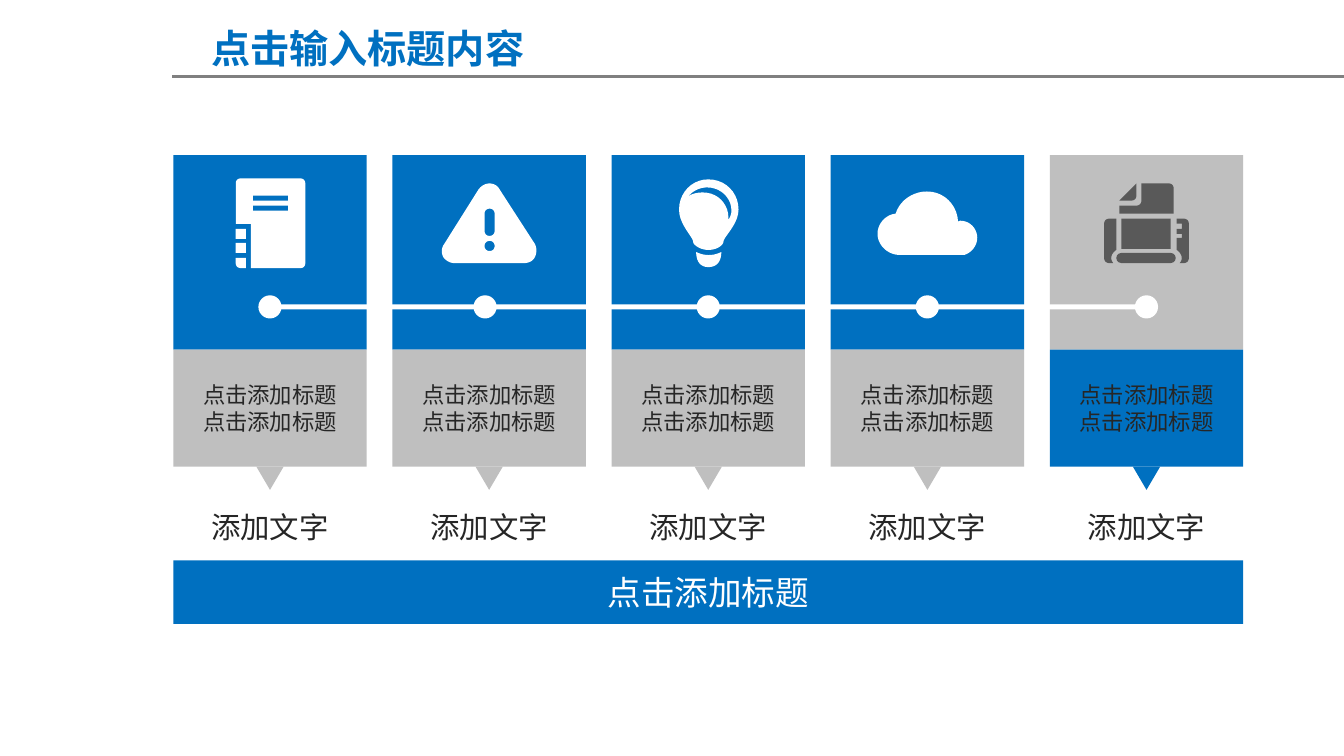
import pptx
import pptx.dml.color
import pptx.enum.shapes
import pptx.enum.text
import pptx.oxml.ns
import pptx.util
from lxml import etree

Inches = pptx.util.Inches
RGBColor = pptx.dml.color.RGBColor
MSO = pptx.enum.shapes.MSO_SHAPE
ANCHOR = pptx.enum.text.MSO_ANCHOR
qn = pptx.oxml.ns.qn

BLUE = RGBColor(0x00, 0x70, 0xC0)
SILVER = RGBColor(0xBF, 0xBF, 0xBF)
GRAY = RGBColor(0x80, 0x80, 0x80)
DARK = RGBColor(0x59, 0x59, 0x59)
INK = RGBColor(0x26, 0x26, 0x26)
WHITE = RGBColor(0xFF, 0xFF, 0xFF)
FONT = "Noto Sans CJK SC"

prs = pptx.Presentation()
prs.slide_width, prs.slide_height = Inches(13.34), Inches(7.5)
s = prs.slides.add_slide(prs.slide_layouts[6])


def add_block(kind, x, y, w, h, color):
    sp = s.shapes.add_shape(kind, Inches(x), Inches(y), Inches(w), Inches(h))
    sp.shadow.inherit = False
    sp.fill.solid()
    sp.fill.fore_color.rgb = color
    sp.line.fill.background()
    return sp


def write(sp, text, *, size, color, bold=False, wrap=True, anchor=ANCHOR.MIDDLE):
    """Fill a shape with centred text, one paragraph per line."""
    tf = sp.text_frame
    tf.word_wrap = wrap
    tf.vertical_anchor = anchor
    for i, line in enumerate(text.split("\n")):
        p = tf.add_paragraph() if i else tf.paragraphs[0]
        p.alignment = pptx.enum.text.PP_ALIGN.CENTER
        r = p.add_run()
        r.text = line
        r.font.size = pptx.util.Pt(size)
        r.font.bold = bold
        r.font.name = FONT
        r.font.color.rgb = color
        etree.SubElement(r.font._element, qn("a:ea"), typeface=FONT)


# Header
rule = s.shapes.add_connector(pptx.enum.shapes.MSO_CONNECTOR.STRAIGHT,
                              Inches(1.71), Inches(0.76), Inches(13.34), Inches(0.76))
rule.line.color.rgb = GRAY
rule.line.width = pptx.util.Pt(2)
etree.SubElement(rule._element.spPr, qn("a:effectLst"))
title = s.shapes.add_textbox(Inches(1.85), Inches(0.19), Inches(3.6), Inches(0.57))
write(title, "点击输入标题内容", size=28, color=BLUE, bold=True, anchor=ANCHOR.TOP)

# Five columns
LEFT, PITCH, WIDTH, COUNT = 1.72, 2.175, 1.92, 5
for i in range(COUNT):
    x = LEFT + i * PITCH
    center = x + WIDTH / 2
    last = i == COUNT - 1
    top, bottom = (SILVER, BLUE) if last else (BLUE, SILVER)
    add_block(MSO.RECTANGLE, x, 1.54, WIDTH, 1.93, top)
    card = add_block(MSO.RECTANGLE, x, 3.47, WIDTH, 1.16, bottom)
    write(card, "点击添加标题\n点击添加标题", size=16, color=INK)
    pointer = add_block(MSO.ISOSCELES_TRIANGLE, center - 0.135, 4.63, 0.27, 0.23, bottom)
    pointer.rotation = 180
    label = s.shapes.add_textbox(Inches(center - 0.7), Inches(5), Inches(1.4), Inches(0.46))
    write(label, "添加文字", size=21, color=INK, wrap=False, anchor=ANCHOR.TOP)
    dot_shift = -0.04 if i == 1 else 0
    add_block(MSO.OVAL, center - 0.115 + dot_shift, 2.93, 0.23, 0.23, WHITE)
add_block(MSO.RECTANGLE, 2.61, 3.02, 8.7, 0.05, WHITE)

# Icon outlines: pairs are corners, sixes are Bézier curves; extra contours cut holes
notebook = [
    [(2.39, 1.77), (2.98, 1.77), (3.01, 1.77, 3.03, 1.79, 3.03, 1.82), (3.03, 2.61),
     (3.03, 2.64, 3.01, 2.66, 2.98, 2.66), (2.49, 2.66), (2.49, 2.22), (2.34, 2.22),
     (2.34, 1.82), (2.34, 1.79, 2.36, 1.77, 2.39, 1.77)],
    [(2.51, 2.09), (2.86, 2.09), (2.86, 2.04), (2.51, 2.04)],
    [(2.51, 1.99), (2.86, 1.99), (2.86, 1.94), (2.51, 1.94)]]
notebook_corner = [[(2.44, 2.66), (2.39, 2.66), (2.36, 2.66, 2.34, 2.64, 2.34, 2.61),
                    (2.34, 2.56), (2.44, 2.56)]]
warning = [
    [(4.75, 1.88), (4.78, 1.84, 4.82, 1.82, 4.86, 1.82), (4.9, 1.82, 4.94, 1.84, 4.96, 1.88),
     (5.31, 2.42), (5.33, 2.46, 5.33, 2.51, 5.31, 2.55), (5.29, 2.59, 5.25, 2.61, 5.2, 2.61),
     (4.51, 2.61), (4.47, 2.61, 4.43, 2.59, 4.4, 2.55), (4.38, 2.51, 4.38, 2.46, 4.41, 2.42)],
    [(4.86, 2.49), (4.89, 2.49, 4.91, 2.47, 4.91, 2.44), (4.91, 2.41, 4.89, 2.39, 4.86, 2.39),
     (4.83, 2.39, 4.81, 2.41, 4.81, 2.44), (4.81, 2.47, 4.83, 2.49, 4.86, 2.49)],
    [(4.81, 2.29), (4.81, 2.32, 4.83, 2.34, 4.86, 2.34), (4.89, 2.34, 4.91, 2.32, 4.91, 2.29),
     (4.91, 2.12), (4.91, 2.09, 4.89, 2.07, 4.86, 2.07), (4.83, 2.07, 4.81, 2.09, 4.81, 2.12)]]
bulb_base = [[(6.91, 2.5), (6.99, 2.54, 7.08, 2.54, 7.16, 2.5),
              (7.16, 2.59, 7.12, 2.65, 7.03, 2.65), (6.95, 2.65, 6.91, 2.59, 6.91, 2.5)]]
bulb = [
    [(7.03, 1.78), (7.2, 1.78, 7.33, 1.91, 7.33, 2.08), (7.33, 2.23, 7.18, 2.35, 7.18, 2.4),
     (7.18, 2.43, 7.12, 2.48, 7.03, 2.48), (6.95, 2.48, 6.88, 2.43, 6.88, 2.4),
     (6.88, 2.35, 6.74, 2.23, 6.74, 2.08), (6.74, 1.91, 6.87, 1.78, 7.03, 1.78)],
    [(6.98, 1.91), (7.12, 1.91, 7.23, 2.02, 7.23, 2.16), (7.23, 2.18),
     (7.25, 2.15, 7.26, 2.12, 7.26, 2.09), (7.26, 1.96, 7.15, 1.86, 7.02, 1.86),
     (6.95, 1.86, 6.88, 1.89, 6.83, 1.95), (6.87, 1.92, 6.92, 1.91, 6.98, 1.91)]]
cloud = [[(8.89, 2.12), (8.93, 1.99, 9.06, 1.9, 9.2, 1.9), (9.37, 1.9, 9.5, 2.03, 9.51, 2.2),
          (9.53, 2.19), (9.63, 2.19, 9.7, 2.27, 9.7, 2.36), (9.7, 2.44, 9.64, 2.51, 9.57, 2.53),
          (8.93, 2.53), (8.81, 2.53, 8.71, 2.43, 8.71, 2.32),
          (8.71, 2.22, 8.79, 2.13, 8.89, 2.12)]]
printer_left = [[(11.01, 2.17), (11.08, 2.17), (11.08, 2.48),
                 (11.05, 2.5, 11.03, 2.53, 11.03, 2.56), (11.03, 2.58, 11.04, 2.6, 11.05, 2.61),
                 (11.01, 2.61), (10.98, 2.61, 10.96, 2.59, 10.96, 2.56), (10.96, 2.22),
                 (10.96, 2.19, 10.98, 2.17, 11.01, 2.17)]]
printer_right = [[(11.68, 2.48), (11.68, 2.36), (11.73, 2.36), (11.73, 2.32), (11.68, 2.32),
                  (11.68, 2.27), (11.73, 2.27), (11.73, 2.22), (11.68, 2.22), (11.68, 2.17),
                  (11.75, 2.17), (11.78, 2.17, 11.8, 2.19, 11.8, 2.22), (11.8, 2.56),
                  (11.8, 2.59, 11.78, 2.61, 11.75, 2.61), (11.71, 2.61),
                  (11.72, 2.6, 11.73, 2.58, 11.73, 2.56), (11.73, 2.53, 11.71, 2.5, 11.68, 2.48)]]
page_fold = [[(11.23, 1.99), (11.11, 1.99), (11.28, 1.82), (11.28, 1.94),
              (11.28, 1.97, 11.26, 1.99, 11.23, 1.99)]]
page = [[(11.11, 2.04), (11.28, 2.04), (11.31, 2.04, 11.33, 2.02, 11.33, 1.99), (11.33, 1.82),
         (11.6, 1.82), (11.63, 1.82, 11.65, 1.84, 11.65, 1.87), (11.65, 2.12), (11.11, 2.12)]]

STEPS = 10
white_icons = [notebook, notebook_corner, warning, bulb_base, bulb, cloud]
dark_icons = [printer_left, printer_right, page_fold, page]
for outline in white_icons + dark_icons:
    contours = []
    for start, *segments in outline:
        points = [start]
        for segment in segments:
            if len(segment) == 2:
                points.append(segment)
                continue
            x0, y0 = points[-1]
            x1, y1, x2, y2, x3, y3 = segment
            for k in range(1, STEPS + 1):
                t = k / STEPS
                a, b, c, d = (1 - t) ** 3, 3 * t * (1 - t) ** 2, 3 * t * t * (1 - t), t ** 3
                points.append((a * x0 + b * x1 + c * x2 + d * x3,
                               a * y0 + b * y1 + c * y2 + d * y3))
        contours.append([(Inches(x), Inches(y)) for x, y in points])
    builder = s.shapes.build_freeform(*contours[0][0])
    builder.add_line_segments(contours[0][1:])
    for hole in contours[1:]:
        builder.move_to(*hole[0])
        builder.add_line_segments(hole[1:])
    sp = builder.convert_to_shape()
    sp.shadow.inherit = False
    sp.fill.solid()
    sp.fill.fore_color.rgb = WHITE if outline in white_icons else DARK
    sp.line.fill.background()

for y in (2.27, 2.41):
    add_block(MSO.RECTANGLE, 2.34, y, 0.1, 0.1, WHITE)
add_block(MSO.RECTANGLE, 11.13, 2.17, 0.49, 0.3, DARK)
tray = add_block(MSO.ROUNDED_RECTANGLE, 11.08, 2.51, 0.59, 0.1, DARK)
tray.adjustments[0] = 0.5

# Closing banner
banner = add_block(MSO.RECTANGLE, LEFT, 5.56, 10.62, 0.63, BLUE)
write(banner, "点击添加标题", size=24, color=WHITE)

prs.save("out.pptx")
